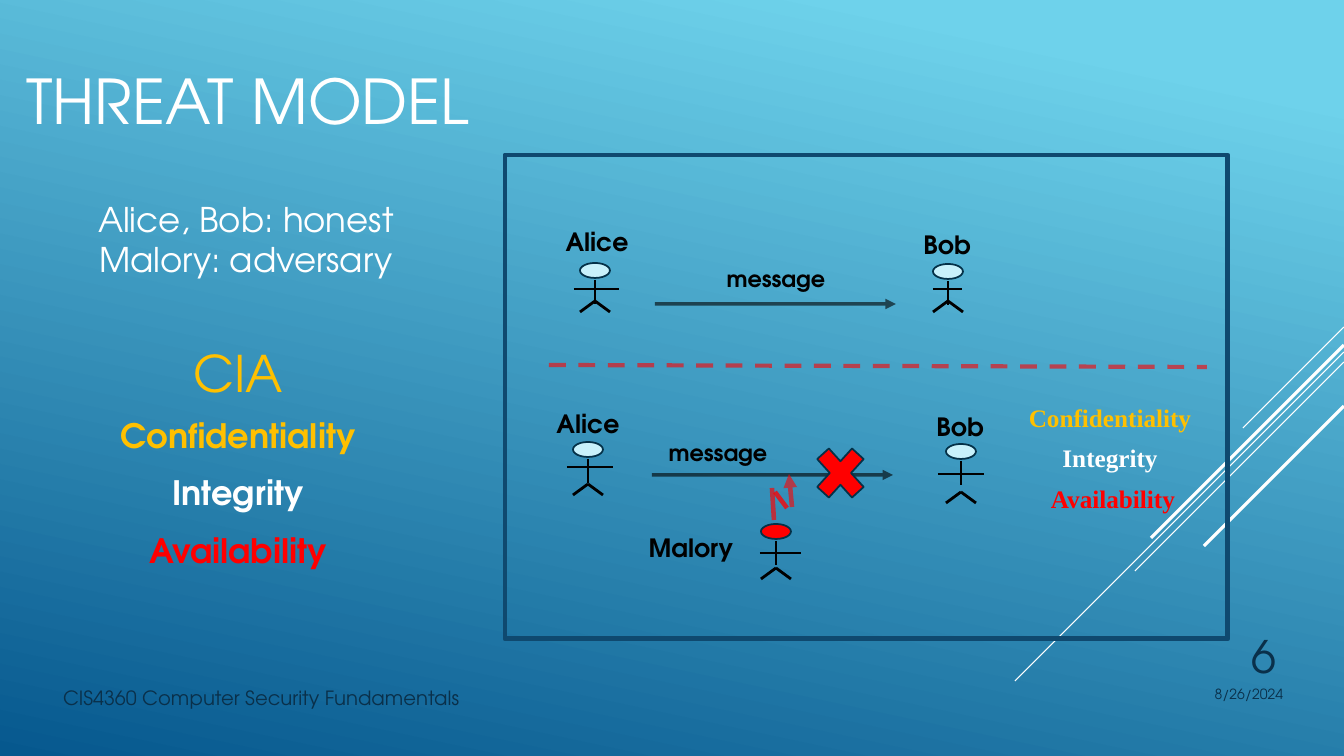
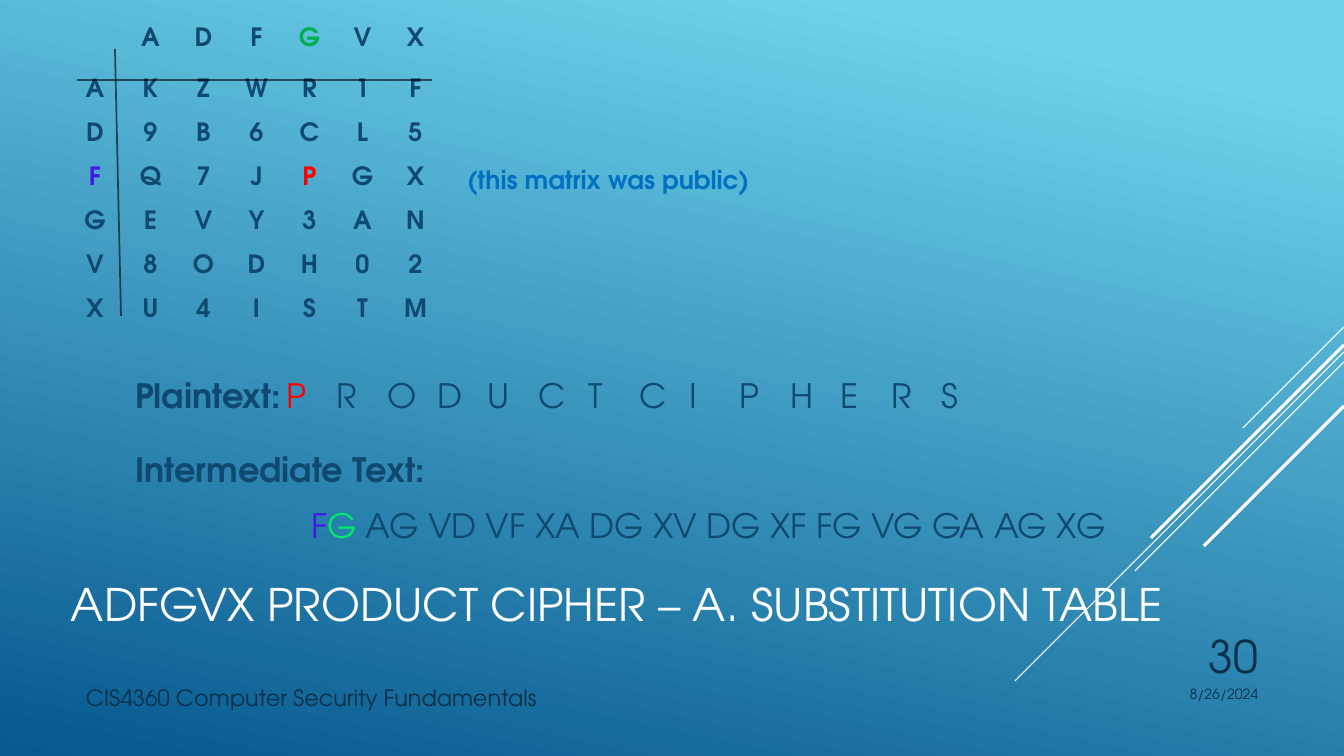
from lxml.etree import SubElement
from pptx import Presentation
from pptx.dml.color import RGBColor
from pptx.enum.dml import MSO_LINE
from pptx.enum.shapes import MSO_CONNECTOR, MSO_SHAPE
from pptx.enum.text import MSO_ANCHOR, MSO_AUTO_SIZE, PP_ALIGN
from pptx.oxml.ns import qn
from pptx.util import Emu, Pt

# Shared look
WHITE, BLACK = RGBColor(255, 255, 255), RGBColor(0, 0, 0)
SKY, DEEP = RGBColor(0x6E, 0xD2, 0xEB), RGBColor(0x06, 0x58, 0x8E)
NAVY, INK = RGBColor(0x0F, 0x49, 0x6F), RGBColor(0x0A, 0x30, 0x4A)
OUTLINE, PALE = RGBColor(0x04, 0x31, 0x48), RGBColor(0xC8, 0xF1, 0xFB)
RED, GOLD = RGBColor(255, 0, 0), RGBColor(0xFF, 0xC0, 0)
GREEN, LIME = RGBColor(0, 0xB0, 0x50), RGBColor(0, 0xEA, 0x6A)
VIOLET, BLUE = RGBColor(0x40, 0x1A, 0xE4), RGBColor(0, 0x70, 0xC0)
SANS, SERIF = "TeX Gyre Adventor", "Times New Roman"
LEFT, CENTER, RIGHT = PP_ALIGN.LEFT, PP_ALIGN.CENTER, PP_ALIGN.RIGHT
NO_GRID = "{2D5ABB26-0587-4C30-8999-92F81FD0307C}"
WIDTH, HEIGHT = 1344, 756
COURSE, DATE = "CIS4360 Computer Security Fundamentals", "8/26/2024"
# Diagonals from the right edge: start y, run, weight
DIAGONALS = [(327, 101, 0.75), (352, 329, 0.75), (362, 209, 0.75),
             (345, 193, 2.25), (406, 140, 2.25)]

# Threat model content
ROLES = ["Alice, Bob: honest", "Malory: adversary"]
# Words, size, bold, colour, space before, space after
GOALS = [("CIA", 36, False, GOLD, 0, 3),
         ("Confidentiality", 24, True, GOLD, 6, 6),
         ("Integrity", 24, True, WHITE, 6, 6),
         ("Availability", 24, True, RED, 6, 6)]
# Name, label centre, spine x, head top, arms (left, right, y), hip y, head fill
PEOPLE = [("Alice", (597, 241), 595, 263, (574, 619, 289), 301, PALE),
          ("Bob", (947, 244), 948, 264, (933, 962, 289), 301, PALE),
          ("Alice", (588, 423), 588, 442, (567, 613, 467), 484, PALE),
          ("Bob", (960, 426), 961, 444, (938, 984, 474), 492, PALE),
          ("Malory", (691, 547), 776, 524, (760, 801, 553), 568, RED)]
# Label centre, arrow start, arrow end
MESSAGES = [((776, 279), (655, 304), (896, 304)),
            ((718, 453), (652, 475), (893, 475))]
# Start, end, opacity, arrowhead
ATTACK = [((774, 520), (772, 488), 66, False),
          ((787, 508), (775, 492), 76, False),
          ((792, 507), (789, 474), 60, True)]
OUTCOMES = [("Confidentiality", 1110, 417, GOLD),
            ("Integrity", 1110, 457, WHITE),
            ("Availability", 1113, 498, RED)]

# Cipher content
MATRIX = [" ADFGVX", "AKZWR1F", "D9B6CL5", "FQ7JPGX",
          "GEVY3AN", "V8ODH02", "XU4ISTM"]
MARKED = {(0, 4): GREEN, (3, 0): VIOLET, (3, 4): RED}
PLAINTEXT = "PRODUCTCIPHERS"
PAIRS = [("F", VIOLET), ("G", LIME),
         (" AG VD VF XA DG XV DG XF FG VG GA AG XG", NAVY)]


def px(length):
    return Emu(round(length * 914400 / 100.8))


def place(shape, x, y, w, h):
    shape.left, shape.top, shape.width, shape.height = map(px, (x, y, w, h))


def prepare(frame, anchor=MSO_ANCHOR.MIDDLE):
    frame.word_wrap = True
    frame.auto_size = MSO_AUTO_SIZE.NONE
    frame.vertical_anchor = anchor
    frame.margin_left = frame.margin_right = 0
    frame.margin_top = frame.margin_bottom = 0


def style(part, size, color, bold=False, face=SANS):
    font = part.font
    font.name, font.size, font.bold = face, Pt(size), bold
    font.color.rgb = color


def label(slide, lines, x, y, size, color, bold=False, align=CENTER, face=SANS):
    """Text whose left, centre or right is x and whose middle is y."""
    w, h = 480, 50 * len(lines)
    left = {LEFT: x, CENTER: x - w / 2, RIGHT: x - w}[align]
    box = slide.shapes.add_textbox(px(left), px(y - h / 2), px(w), px(h))
    prepare(box.text_frame)
    box.text_frame.text = "\n".join(lines)
    for paragraph in box.text_frame.paragraphs:
        paragraph.alignment = align
        style(paragraph, size, color, bold, face)


def stroke(slide, start, end, color, weight, opacity=100, arrow=False, dash=None):
    line = slide.shapes.add_connector(
        MSO_CONNECTOR.STRAIGHT, *map(px, (*start, *end)))
    line.line.color.rgb, line.line.width = color, Pt(weight)
    if dash:
        line.line.dash_style = dash
    properties = line._element.spPr
    outline = properties.find(qn("a:ln"))
    if opacity < 100:
        tint = outline.find(".//" + qn("a:srgbClr"))
        SubElement(tint, qn("a:alpha"), val=str(opacity * 1000))
    if arrow:
        SubElement(outline, qn("a:tailEnd"), type="triangle")
    SubElement(properties, qn("a:effectLst"))


def preset(slide, kind, x, y, w, h, fill, edge, weight):
    shape = slide.shapes.add_shape(kind, *map(px, (x, y, w, h)))
    shape.shadow.inherit = False
    if fill is None:
        shape.fill.background()
    else:
        shape.fill.solid()
        shape.fill.fore_color.rgb = fill
    shape.line.color.rgb, shape.line.width = edge, Pt(weight)


def new_slide(deck, title, box, size, align, number, course, right_edges):
    slide = deck.slides.add_slide(deck.slide_layouts[1])
    for y, run, weight in DIAGONALS:
        stroke(slide, (WIDTH, y), (WIDTH - run, y + run), WHITE, weight)
    heading = slide.shapes.title
    place(heading, *box)
    prepare(heading.text_frame)
    heading.text_frame.text = title
    heading.text_frame.paragraphs[0].alignment = align
    style(heading.text_frame.paragraphs[0], size, WHITE)
    # Footer
    course_x, course_size = course
    number_right, date_right = right_edges
    label(slide, [COURSE], course_x, 698, course_size, INK, align=LEFT)
    label(slide, [number], number_right, 656, 32, INK, align=RIGHT)
    label(slide, [DATE], date_right, 694, 10, INK, align=RIGHT)
    return slide


def plain(paragraph, indent=0, tabs=()):
    """Drop the bullet, set the indent and add centred tab stops."""
    properties = paragraph._p.get_or_add_pPr()
    properties.set("marL", str(px(indent)))
    properties.set("indent", "0")
    SubElement(properties, qn("a:buNone"))
    if tabs:
        stops = SubElement(properties, qn("a:tabLst"))
        for stop in tabs:
            SubElement(stops, qn("a:tab"), pos=str(px(stop)), algn="ctr")


def spacing(paragraph, before, after):
    paragraph.space_before, paragraph.space_after = Pt(before), Pt(after)
    paragraph.line_spacing = 1.0


def colored_run(paragraph, words, color, bold=False):
    run = paragraph.add_run()
    run.text = words
    style(run, 24, color, bold)


def draw_person(slide, name, caption, x, head_top, arms, hip, fill):
    preset(slide, MSO_SHAPE.OVAL, x - 15, head_top, 30, 15, fill, OUTLINE, 1.25)
    left, right, arm_y = arms
    limbs = [((x, head_top + 17), (x, head_top + 41)),
             ((left, arm_y), (right, arm_y)),
             ((x, hip), (x - 15, hip + 11)),
             ((x, hip), (x + 15, hip + 11))]
    for start, end in limbs:
        stroke(slide, start, end, BLACK, 2)
    label(slide, [name], *caption, 18, BLACK, True)


def threat_model(deck):
    slide = new_slide(deck, "THREAT MODEL", (10, 62, 476, 76), 44.1, CENTER,
                      "6", (63, 14), (1276, 1283))
    label(slide, ROLES, 246, 239, 24.3, WHITE)
    # Security goals
    goals = slide.placeholders[1]
    place(goals, 106, 342, 264, 236)
    frame = goals.text_frame
    prepare(frame, MSO_ANCHOR.TOP)
    frame.text = "\n".join(goal[0] for goal in GOALS)
    for paragraph, goal in zip(frame.paragraphs, GOALS):
        _, size, bold, color, before, after = goal
        plain(paragraph)
        paragraph.alignment = CENTER
        spacing(paragraph, before, after)
        style(paragraph, size, color, bold)
    # Diagram
    preset(slide, MSO_SHAPE.RECTANGLE, 505, 155, 723, 484, None, NAVY, 3.5)
    for person in PEOPLE:
        draw_person(slide, *person)
    for caption, start, end in MESSAGES:
        stroke(slide, start, end, BLACK, 2.5, 60, arrow=True)
        label(slide, ["message"], *caption, 16, BLACK, True)
    for start, end, opacity, arrow in ATTACK:
        stroke(slide, start, end, RED, 3.25, opacity, arrow)
    for words, x, y, color in OUTCOMES:
        label(slide, [words], x, y, 18, color, True, face=SERIF)
    stroke(slide, (549, 365), (1207, 367), RED, 3, 60, dash=MSO_LINE.DASH)
    preset(slide, MSO_SHAPE.MATH_MULTIPLY, 807, 436, 67, 74, RED, OUTLINE, 1.25)


def draw_matrix(slide):
    x, y, key_w, column_w, head_h, row_h = 66, 11, 58, 53, 58, 44
    columns, rows = len(MATRIX[0]), len(MATRIX)
    table = slide.shapes.add_table(
        rows, columns, px(x), px(y), px(key_w + column_w * (columns - 1)),
        px(head_h + row_h * (rows - 1))).table
    table.first_row = table.horz_banding = False
    table._tbl.tblPr.find(qn("a:tableStyleId")).text = NO_GRID
    for i, column in enumerate(table.columns):
        column.width = px(column_w if i else key_w)
    for r, letters in enumerate(MATRIX):
        table.rows[r].height = px(row_h if r else head_h)
        for c, letter in enumerate(letters):
            cell = table.cell(r, c)
            cell.fill.background()
            cell.vertical_anchor = MSO_ANCHOR.MIDDLE
            cell.margin_left = cell.margin_right = 0
            cell.margin_top = cell.margin_bottom = 0
            cell.text = letter.strip()
            paragraph = cell.text_frame.paragraphs[0]
            paragraph.alignment = CENTER
            style(paragraph, 18, MARKED.get((r, c), NAVY), True)
    stroke(slide, (77, 80), (432, 80), BLACK, 1.25, 60)
    stroke(slide, (115, 49), (121, 316), BLACK, 1.25, 60)


def substitution_table(deck):
    slide = new_slide(deck, "ADFGVX PRODUCT CIPHER – A. SUBSTITUTION TABLE",
                      (71, 564, 1200, 80), 32, LEFT,
                      "30", (86, 16), (1258, 1258))
    draw_matrix(slide)
    label(slide, ["(this matrix was public)"], 467, 179, 18, BLUE, True, LEFT)
    # Worked example
    body = slide.placeholders[1]
    place(body, 135, 375, 1050, 180)
    frame = body.text_frame
    prepare(frame, MSO_ANCHOR.TOP)
    plaintext, heading, pairs = (
        frame.paragraphs[0], frame.add_paragraph(), frame.add_paragraph())
    plain(plaintext, tabs=[199 + 56.8 * i for i in range(len(PLAINTEXT))])
    plain(heading)
    plain(pairs, indent=176)
    for paragraph, before in ((plaintext, 0), (heading, 24), (pairs, 11)):
        spacing(paragraph, before, 0)
    colored_run(plaintext, "Plaintext:", NAVY, True)
    colored_run(plaintext, "\t" + PLAINTEXT[0], RED)
    colored_run(plaintext, "".join("\t" + c for c in PLAINTEXT[1:]), NAVY)
    colored_run(heading, "Intermediate Text:", NAVY, True)
    for words, color in PAIRS:
        colored_run(pairs, words, color)


def main():
    deck = Presentation()
    deck.slide_width, deck.slide_height = px(WIDTH), px(HEIGHT)
    fill = deck.slide_master.background.fill
    fill.gradient()
    fill.gradient_angle = 258
    for stop, position, color in zip(fill.gradient_stops, (0.1, 1), (SKY, DEEP)):
        stop.position, stop.color.rgb = position, color
    threat_model(deck)
    substitution_table(deck)
    deck.save("out.pptx")


if __name__ == "__main__":
    main()
